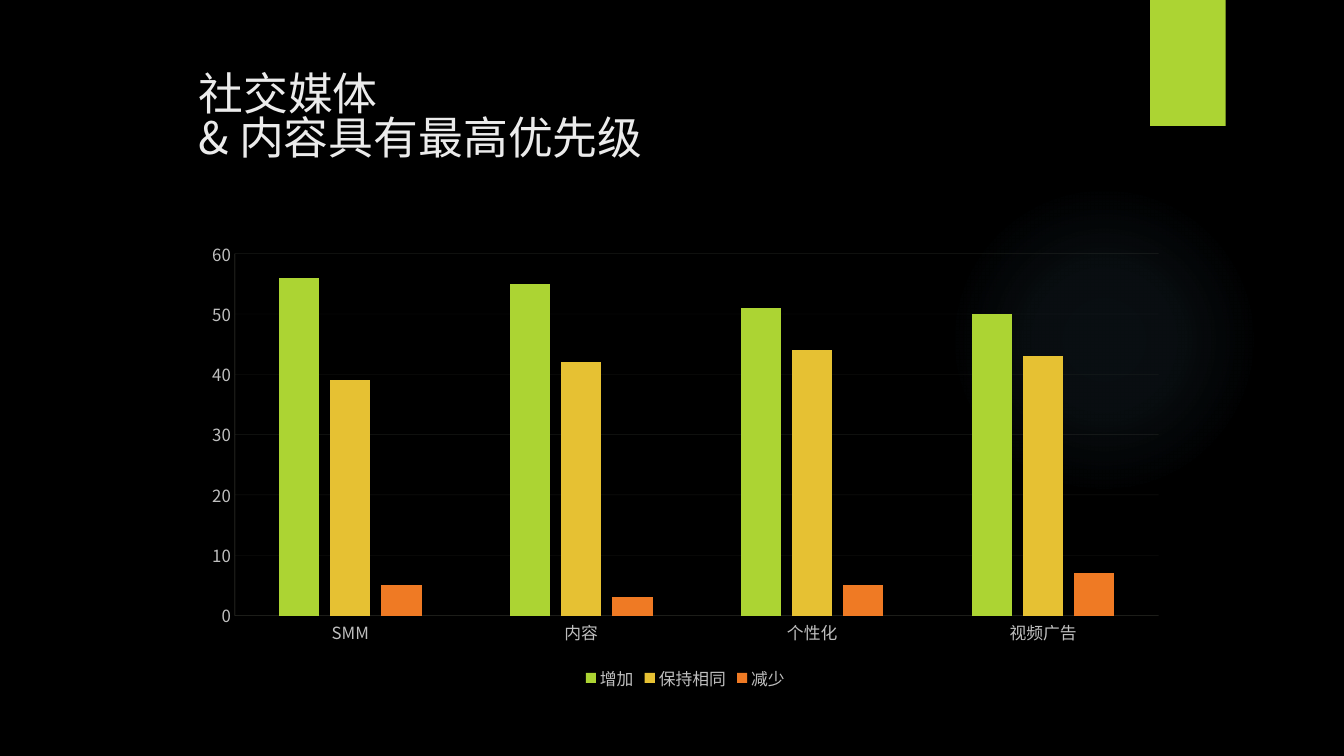
from lxml.etree import SubElement
from pptx import Presentation
from pptx.chart.data import CategoryChartData
from pptx.dml.color import RGBColor
from pptx.enum.chart import XL_CHART_TYPE as ChartType, XL_LEGEND_POSITION as LegendPosition
from pptx.enum.chart import XL_TICK_MARK as TickMark
from pptx.enum.shapes import MSO_SHAPE as Preset
from pptx.enum.text import MSO_ANCHOR as Anchor, MSO_AUTO_SIZE as AutoSize, PP_ALIGN as Align
from pptx.oxml import parse_xml
from pptx.oxml.ns import nsdecls, qn
from pptx.util import Pt

HEADLINE = ["社交媒体", "& 内容具有最高优先级"]
CHANNELS = ["SMM", "内容", "个性化", "视频广告"]
BUDGET_PLANS = [
    ("增加", "lime", (56, 55, 51, 50)),
    ("保持相同", "gold", (39, 42, 44, 43)),
    ("减少", "orange", (5, 3, 5, 7)),
]
COLORS = {
    "black": "000000",
    "headline": "EBEBEB",
    "label": "BFBFBF",
    "white": "FFFFFF",
    "rule": "EEF6D6",
    "halo": "7AC4F0",
    "lime": "ACD433",
    "gold": "E6C133",
    "orange": "EF7A24",
}
HALO_STOPS = [(0, 7), (36, 6), (69, 0)]
TYPEFACE = "Noto Sans CJK SC"

HALO_BOX = (677.52, 131.76, 221.76, 221.76)
TAB_BOX = (821.52, 0, 54, 90)
HEADLINE_BOX = (134.64, 49.68, 740.88, 110.16)
CHART_BOX = (137.52, 165.6, 704.16, 330.48)


def color(name):
    return RGBColor.from_string(COLORS[name])


def points(box):
    return [Pt(length) for length in box]


def style_font(font, size, color_name):
    font.size = Pt(size)
    font.name = TYPEFACE
    font.color.rgb = color(color_name)


def set_east_asian_font(root):
    for latin in list(root.iter(qn("a:latin"))):
        east_asian = latin.makeelement(qn("a:ea"), {"typeface": TYPEFACE})
        latin.addnext(east_asian)


def style_rule(line, opacity):
    line.width = Pt(0.25)
    line.color.rgb = color("rule")
    rule_color = line._get_or_add_ln().find(".//" + qn("a:srgbClr"))
    SubElement(rule_color, qn("a:alpha"), val=str(opacity * 1000))


def add_decoration(slide, preset, box, color_name):
    decoration = slide.shapes.add_shape(preset, *points(box))
    decoration.shadow.inherit = False
    decoration.fill.solid()
    decoration.fill.fore_color.rgb = color(color_name)
    decoration.line.fill.background()
    return decoration


def add_halo(slide):
    halo = add_decoration(slide, Preset.OVAL, HALO_BOX, "halo")
    stops = "".join(
        f'<a:gs pos="{position * 1000}"><a:srgbClr val="{COLORS["halo"]}">'
        f'<a:alpha val="{opacity * 1000}"/></a:srgbClr></a:gs>'
        for position, opacity in HALO_STOPS
    )
    glow = parse_xml(
        f'<a:gradFill {nsdecls("a")} rotWithShape="1"><a:gsLst>{stops}</a:gsLst>'
        '<a:path path="circle"><a:fillToRect l="50000" t="50000" r="50000" b="50000"/>'
        "</a:path></a:gradFill>"
    )
    properties = halo._element.spPr
    properties.replace(properties.find(qn("a:solidFill")), glow)


def fill_headline(slide):
    title = slide.shapes.title
    title.left, title.top, title.width, title.height = points(HEADLINE_BOX)
    frame = title.text_frame
    frame.word_wrap = True
    frame.auto_size = AutoSize.NONE
    frame.vertical_anchor = Anchor.TOP
    paragraph = frame.paragraphs[0]
    paragraph.alignment = Align.LEFT
    paragraph.line_spacing = 0.83
    for index, words in enumerate(HEADLINE):
        if index:
            paragraph.add_line_break()
        run = paragraph.add_run()
        run.text = words
        style_font(run.font, 32, "headline")
    set_east_asian_font(title._element)


def add_budget_chart(slide):
    budget = CategoryChartData(number_format="General")
    budget.categories = CHANNELS
    for plan, _, shares in BUDGET_PLANS:
        budget.add_series(plan, shares)
    chart = slide.shapes.add_chart(
        ChartType.COLUMN_CLUSTERED, *points(CHART_BOX), budget
    ).chart
    style_font(chart.font, 10, "white")
    chart.has_title = False

    chart.has_legend = True
    chart.legend.position = LegendPosition.BOTTOM
    chart.legend.include_in_layout = False
    style_font(chart.legend.font, 12, "label")

    columns = chart.plots[0]
    columns.gap_width = 219
    columns.overlap = -27
    columns.vary_by_categories = False
    for series, (_, color_name, _) in zip(columns.series, BUDGET_PLANS):
        series.format.fill.solid()
        series.format.fill.fore_color.rgb = color(color_name)

    for axis, opacity in ((chart.category_axis, 25), (chart.value_axis, 30)):
        axis.major_tick_mark = axis.minor_tick_mark = TickMark.NONE
        style_font(axis.tick_labels.font, 12, "label")
        style_rule(axis.format.line, opacity)
    shares_axis = chart.value_axis
    shares_axis.minimum_scale, shares_axis.maximum_scale = 0, 60
    shares_axis.major_unit = 10
    shares_axis.has_major_gridlines = True
    style_rule(shares_axis.major_gridlines.format.line, 10)
    set_east_asian_font(chart._chartSpace)


def main():
    deck = Presentation()
    deck.slide_width, deck.slide_height = Pt(960), Pt(540)
    slide = deck.slides.add_slide(deck.slide_layouts[5])
    slide.background.fill.solid()
    slide.background.fill.fore_color.rgb = color("black")
    add_halo(slide)
    add_decoration(slide, Preset.RECTANGLE, TAB_BOX, "lime")
    fill_headline(slide)
    add_budget_chart(slide)
    deck.save("out.pptx")


if __name__ == "__main__":
    main()
